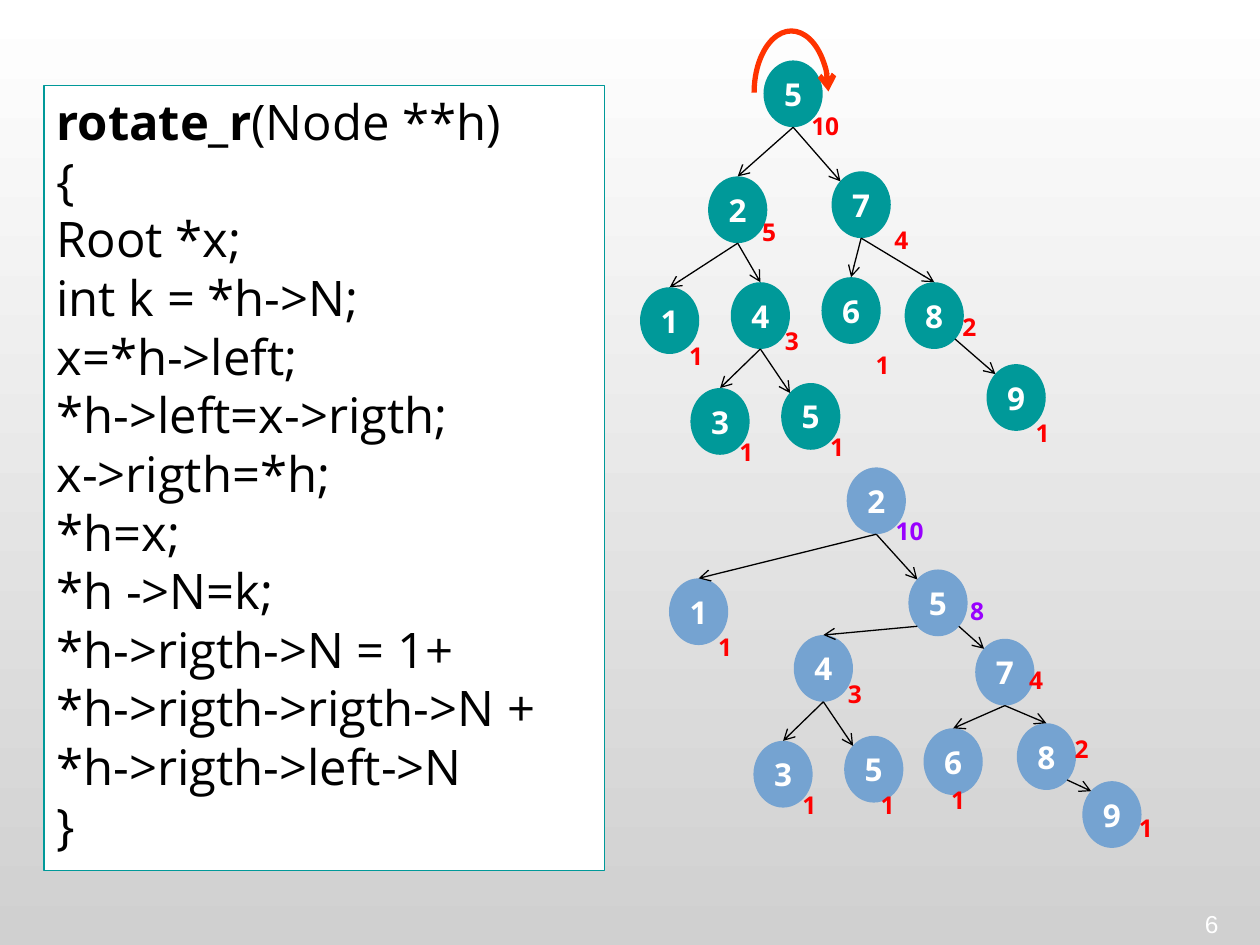
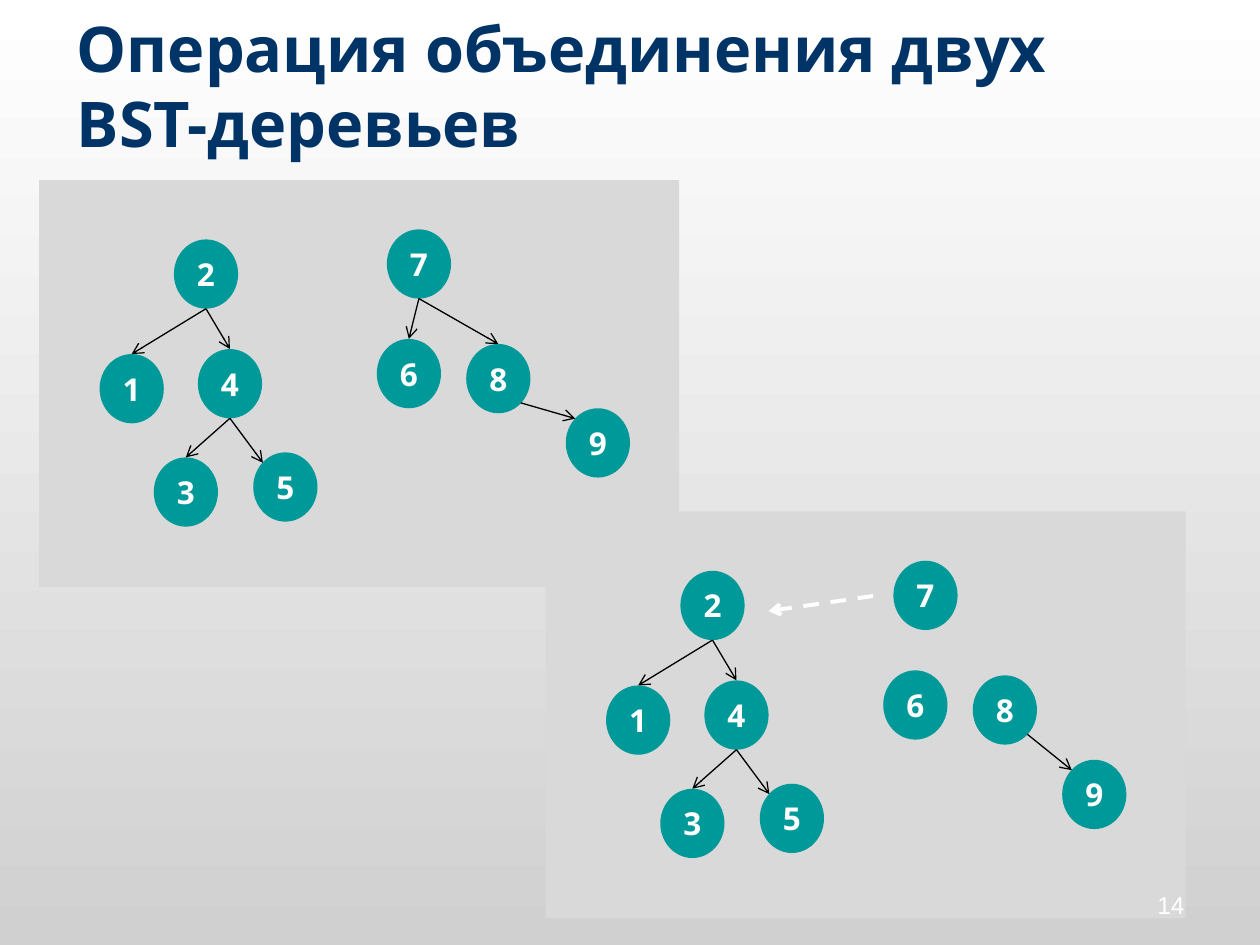
"""Build two slides on binary search trees: right rotation and joining of two trees."""
from dataclasses import dataclass

from lxml import etree
from pptx import Presentation
from pptx import util as u
from pptx.dml.color import RGBColor
from pptx.enum import dml, shapes, text
from pptx.oxml.ns import qn


@dataclass(frozen=True)
class Theme:
    font: str = "Open Sans"
    number_font: str = "Arial"
    teal: str = "009999"
    blue: str = "75A3D1"
    navy: str = "003366"
    red: str = "FF0000"
    orange: str = "FF3300"
    violet: str = "9900FF"
    panel: str = "D9D9D9"
    white: str = "FFFFFF"
    black: str = "000000"
    back_end: str = "D0D0D0"
    title_size: float = 36
    code_size: float = 28
    node_size: float = 18
    small_size: float = 14
    title_pitch: float = 43
    code_pitch: float = 33.5


T = Theme()
I = u.Inches
rgb = RGBColor.from_string


def style(p, size, color, bold=True, font=T.font, align=text.PP_ALIGN.LEFT):
    p.font.size, p.font.name, p.font.bold = u.Pt(size), font, bold
    p.font.color.rgb = rgb(color)
    p.alignment = align


def draw_arrow(s, start, end, color=T.black, width=0.75):
    sp = s.shapes.add_connector(shapes.MSO_CONNECTOR.STRAIGHT, *map(I, (*start, *end)))
    sp.line.color.rgb, sp.line.width = rgb(color), u.Pt(width)
    etree.SubElement(sp.line._get_or_add_ln(), qn("a:tailEnd"), type="arrow")
    etree.SubElement(sp._element.spPr, qn("a:effectLst"))
    return sp


prs = Presentation()
prs.slide_width, prs.slide_height = I(10), I(7.5)
back = prs.slide_master.background.fill
back.gradient()
back.gradient_angle = 270
for stop, color in zip(back.gradient_stops, (T.white, T.back_end)):
    stop.color.rgb = rgb(color)

rotation = prs.slides.add_slide(prs.slide_layouts[6])
joining = prs.slides.add_slide(prs.slide_layouts[5])

title = joining.shapes.title
title.left, title.top, title.width, title.height = map(I, (0.51, 0, 9.21, 1.35))
tf = title.text_frame
tf.text = "Операция объединения двух \vBST-деревьев"
tf.auto_size = text.MSO_AUTO_SIZE.NONE
tf.vertical_anchor = text.MSO_ANCHOR.MIDDLE
style(tf.paragraphs[0], T.title_size, T.navy)
tf.paragraphs[0].line_spacing = u.Pt(T.title_pitch)

sites = {"top": (0.5, 0), "bottom": (0.5, 1), "top left": (0.15, 0.15),
         "bottom left": (0.15, 0.85), "bottom right": (0.85, 0.85)}
under_4 = [("4", "bottom", "3", "top"), ("4", "bottom", "5 leaf", "top left")]
under_2 = [("2", "bottom", "1", "top"), ("2", "bottom", "4", "top")] + under_4
under_8 = [("8", "bottom right", "9", "top left")]
under_7 = [("7", "bottom", "6", "top"), ("7", "bottom", "8", "top")] + under_8

before = {"5": (6.06, 0.48), "2": (5.62, 1.4), "7": (6.6, 1.36), "1": (5.08, 2.28),
          "4": (5.8, 2.24), "6": (6.52, 2.2), "8": (7.18, 2.24), "3": (5.48, 3.08),
          "5 leaf": (6.2, 3.04), "9": (7.83, 2.89)}
after = {"5": (7.21, 4.52), "2": (6.72, 3.71), "7": (7.74, 5.07), "1": (5.31, 4.59),
         "4": (6.3, 5.04), "6": (7.33, 5.78), "8": (8.07, 5.74), "3": (5.98, 5.88),
         "5 leaf": (6.7, 5.84), "9": (8.59, 6.2)}
apart = {"2": (1.38, 1.9), "7": (3.07, 1.82), "1": (0.79, 2.81), "4": (1.57, 2.77),
         "6": (2.99, 2.69), "8": (3.7, 2.73), "3": (1.22, 3.63), "5 leaf": (2.01, 3.59),
         "9": (4.49, 3.24)}
joined = {key: (x + 4.02, y + 2.63) for key, (x, y) in apart.items()}
joined["9"] = (8.43, 6.03)

before_edges = under_2 + under_7 + [("5", "bottom", "2", "top"), ("5", "bottom", "7", "top left")]
after_edges = under_4 + under_7 + [
    ("2", "bottom", "1", "top"), ("2", "bottom", "5", "top left"),
    ("5", "bottom left", "4", "top"), ("5", "bottom right", "7", "top left")]
small, large = (0.47, 0.53), (0.51, 0.55)

trees = [(rotation, before, before_edges, small, T.teal, None),
         (rotation, after, after_edges, small, T.blue, None),
         (joining, apart, under_2 + under_7, large, T.teal, (0.31, 1.43)),
         (joining, joined, under_2 + under_8, large, T.teal, (4.33, 4.06))]
for s, nodes, edges, (w, h), color, panel in trees:
    if panel:
        sp = s.shapes.add_shape(shapes.MSO_SHAPE.RECTANGLE, *map(I, (*panel, 5.08, 3.23)))
        sp.shadow.inherit = False
        sp.fill.solid()
        sp.fill.fore_color.rgb = rgb(T.panel)
        sp.line.fill.background()
    for key, (x, y) in nodes.items():
        sp = s.shapes.add_shape(shapes.MSO_SHAPE.OVAL, *map(I, (x, y, w, h)))
        sp.shadow.inherit = False
        sp.fill.solid()
        sp.fill.fore_color.rgb = rgb(color)
        sp.line.fill.background()
        tf = sp.text_frame
        tf.word_wrap = False
        tf.text = key[0]
        p = tf.paragraphs[0]
        style(p, T.node_size, T.white, align=text.PP_ALIGN.CENTER)
        p.space_before = u.Pt(0.2 * T.node_size)
    for parent, out, child, into in edges:
        draw_arrow(s, *[(nodes[key][0] + w * sites[site][0], nodes[key][1] + h * sites[site][1])
                        for key, site in ((parent, out), (child, into))])

sp = draw_arrow(joining, (6.93, 4.73), (6.1, 4.85), T.white, 2.25)
sp.line.dash_style = dml.MSO_LINE.DASH

counts = [("10", 6.34, 0.83), ("5", 5.95, 1.67), ("4", 7, 1.74), ("1", 5.37, 2.66),
          ("3", 6.13, 2.54), ("2", 7.54, 2.43), ("1", 5.77, 3.42), ("1", 6.49, 3.38),
          ("1", 8.12, 3.27), ("1", 6.85, 2.73), ("4", 8.07, 5.23), ("1", 5.6, 4.97),
          ("3", 6.63, 5.34), ("2", 8.43, 5.78), ("1", 6.27, 6.22), ("1", 8.94, 6.4),
          ("1", 7.45, 6.18), ("1", 6.89, 6.22)]
changed_counts = [("10", 7.01, 4.05), ("8", 7.6, 4.68)]
for group, color in ((counts, T.red), (changed_counts, T.violet)):
    for count, x, y in group:
        tf = rotation.shapes.add_textbox(*map(I, (x, y, 0.51, 0.33))).text_frame
        tf.word_wrap = True
        tf.text = count
        style(tf.paragraphs[0], T.small_size, color)

arc = rotation.shapes.add_shape(shapes.MSO_SHAPE.ARC, *map(I, (5.79, 0.44, 0.98, 0.59)))
arc.shadow.inherit = False
arc.rotation = 270
arc.adjustments[0], arc.adjustments[1] = 162, 52.94
arc.fill.background()
arc.line.color.rgb, arc.line.width = rgb(T.orange), u.Pt(3)
etree.SubElement(arc.line._get_or_add_ln(), qn("a:tailEnd"), type="arrow")

code = """rotate_r(Node **h)
{
Root *x;
int k = *h->N;
x=*h->left;
*h->left=x->rigth;
x->rigth=*h;
*h=x;
*h ->N=k;
*h->rigth->N = 1+
*h->rigth->rigth->N +
*h->rigth->left->N
}"""
box = rotation.shapes.add_shape(shapes.MSO_SHAPE.RECTANGLE, *map(I, (0.35, 0.68, 4.45, 6.23)))
box.shadow.inherit = False
box.fill.solid()
box.fill.fore_color.rgb = rgb(T.white)
box.line.color.rgb, box.line.width = rgb(T.teal), u.Pt(0.75)
tf = box.text_frame
tf.word_wrap = True
tf.vertical_anchor = text.MSO_ANCHOR.TOP
tf.text = code
for p in tf.paragraphs:
    style(p, T.code_size, T.black, bold=False)
    p.line_spacing = u.Pt(T.code_pitch)
p = tf.paragraphs[0]
name, arguments = "rotate_r", "(Node **h)"
p.runs[0].text = name
p.runs[0].font.bold = True
p.add_run().text = arguments

for s, number, x, y in ((rotation, "6", 7.44, 6.98), (joining, "14", 7.17, 6.83)):
    tf = s.shapes.add_textbox(*map(I, (x, y, 2.33, 0.52))).text_frame
    tf.word_wrap = True
    tf.vertical_anchor = text.MSO_ANCHOR.BOTTOM
    tf.text = number
    style(tf.paragraphs[0], T.small_size, T.white, False, T.number_font, text.PP_ALIGN.RIGHT)

prs.save("out.pptx")
